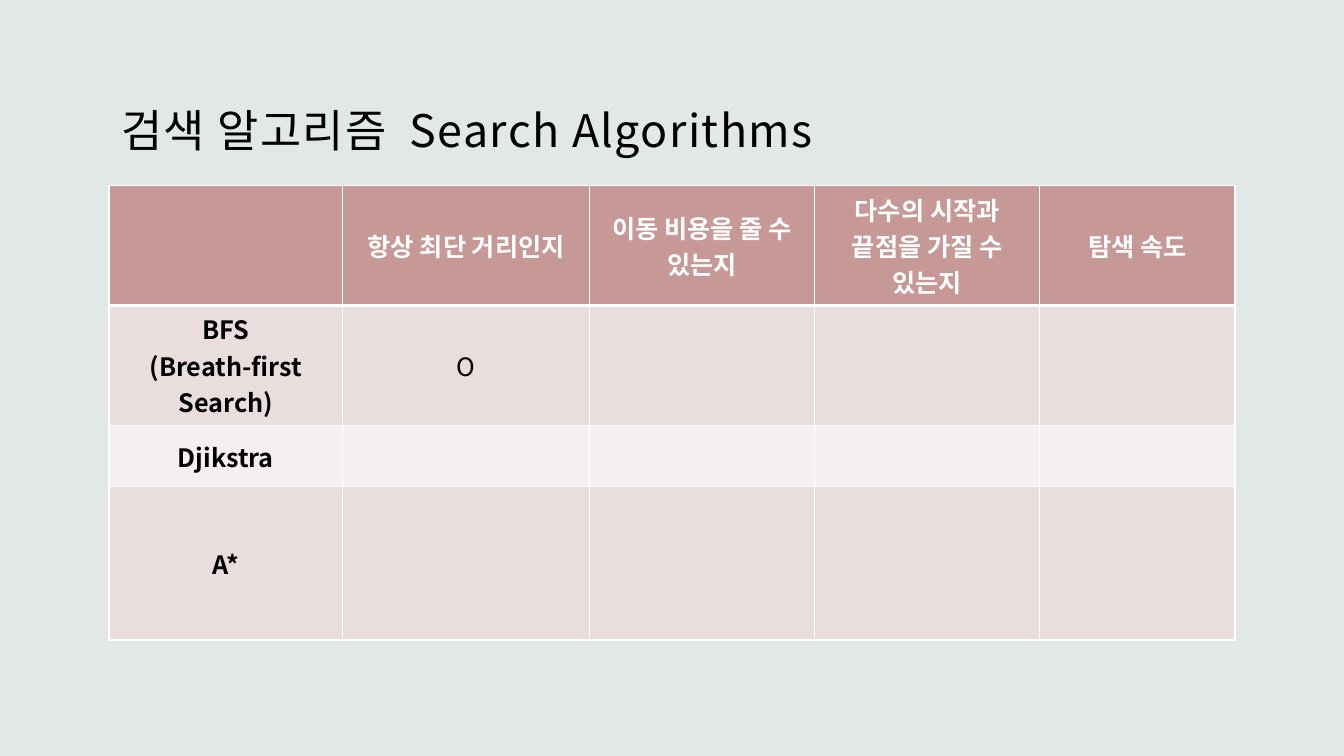
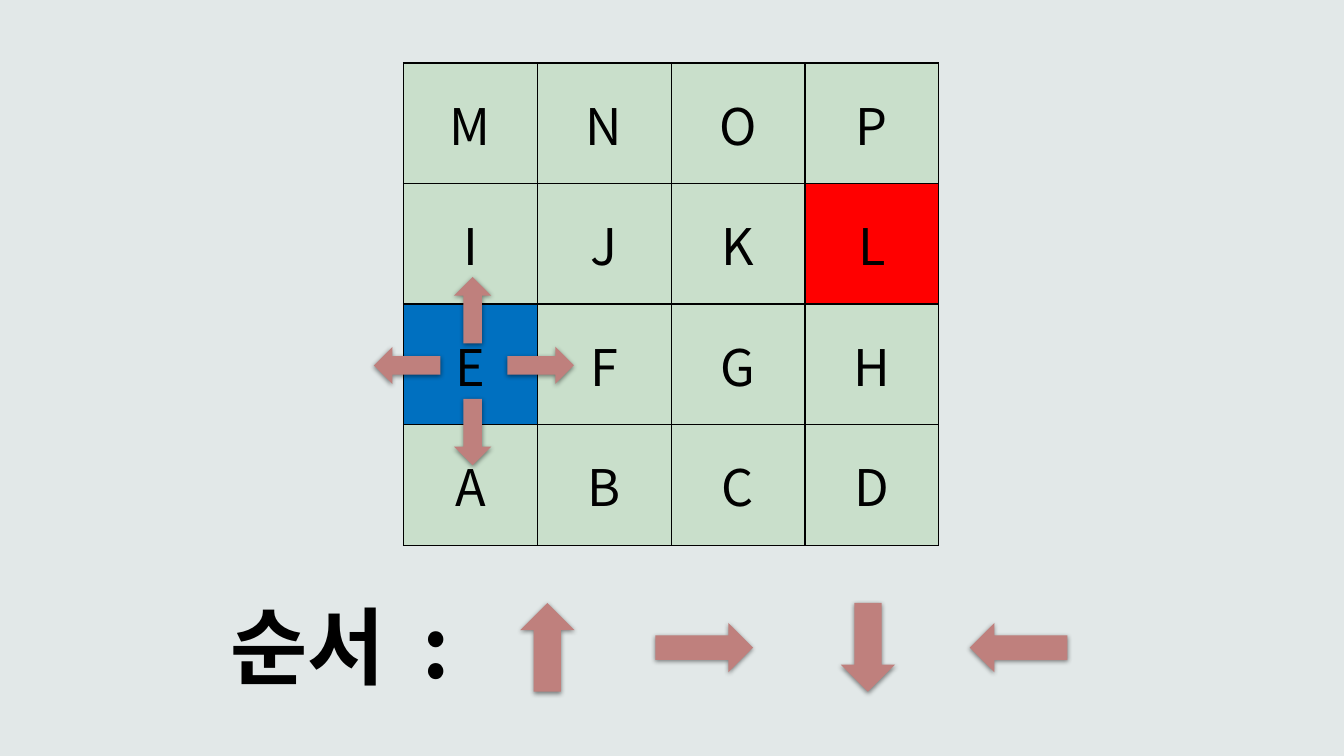
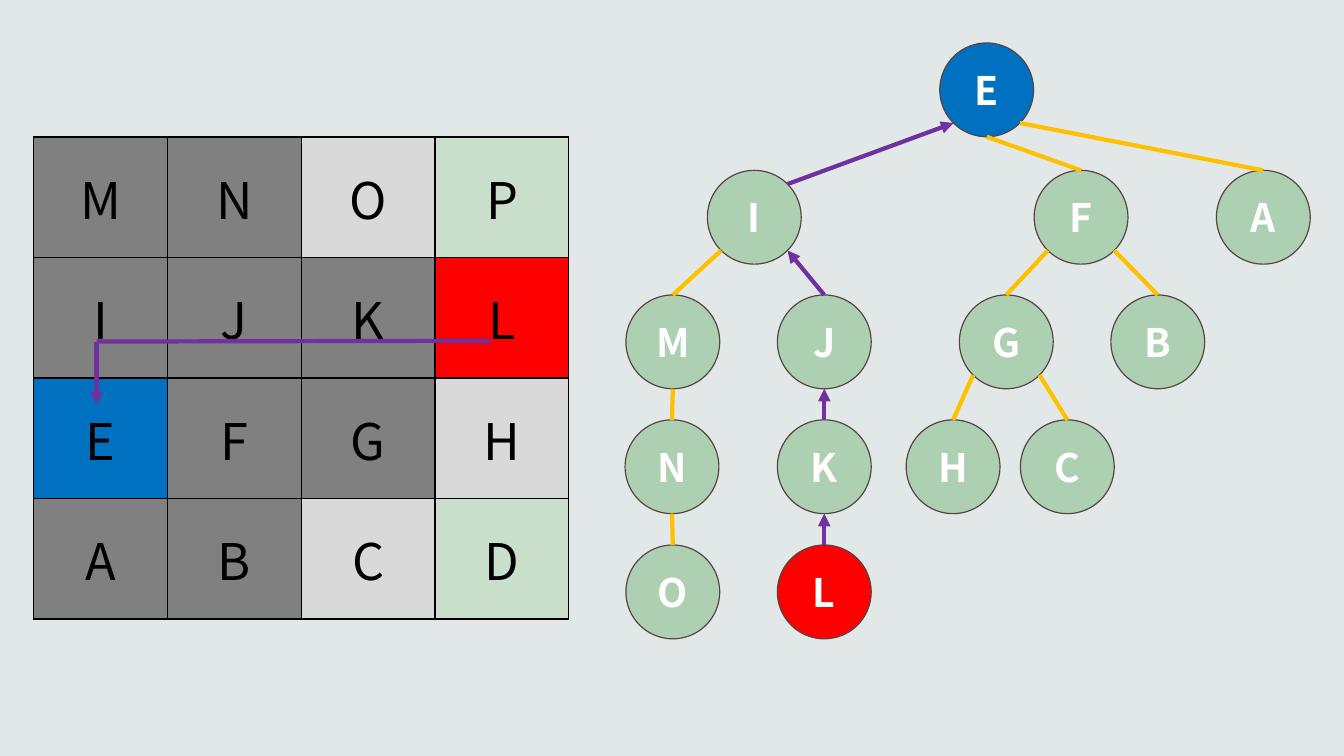
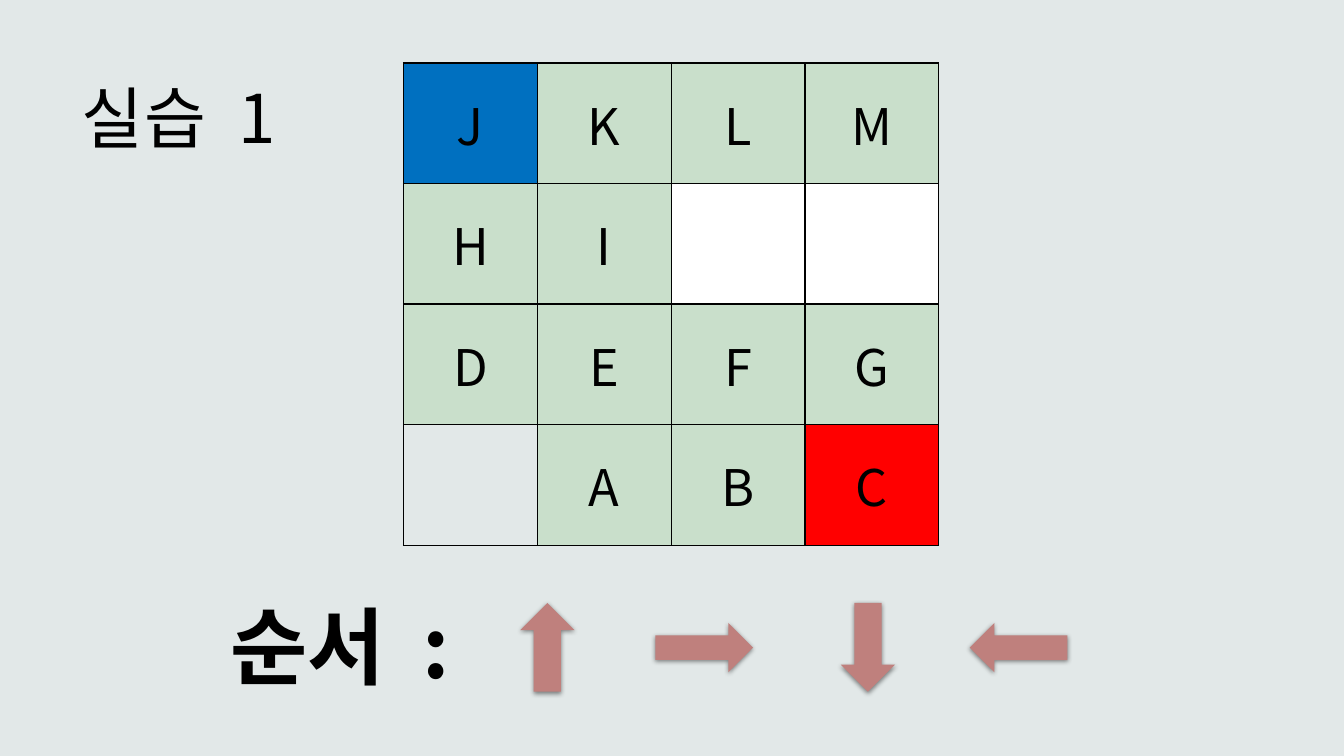
import math

import pptx
import pptx.chart.data
import pptx.dml.color
import pptx.enum.shapes
import pptx.enum.text
import pptx.oxml
import pptx.oxml.ns
import pptx.util

Pt = pptx.util.Pt
ALIGN = pptx.enum.text.PP_ALIGN
ANCHOR = pptx.enum.text.MSO_ANCHOR
SHAPE = pptx.enum.shapes.MSO_SHAPE

FONT = "Noto Sans CJK KR"
BACKGROUND, BLACK, WHITE = "E2E8E8", "000000", "FFFFFF"
BLUE, RED, GREEN = "0070C0", "FF0000", "C9DFCB"
VISITED, QUEUED = "808080", "D9D9D9"
NODE_GREEN, NODE_LINE = "AED0B2", "574342"
ARROW, PURPLE, YELLOW = "BF807D", "7030A0", "FFC000"
HEADER, BAND_DARK, BAND_LIGHT = "C69896", "EADDDD", "F5EFEF"

ROTATION = {"right": 0, "down": 90, "left": 180, "up": 270}
SITE_ANGLE = {"top": -90, "top right": -45, "bottom right": 45, "bottom": 90, "bottom left": 135}
NODE_SIZE = 67
CELL_WIDTH, CELL_HEIGHT = 95.6, 86.1


def color(hex_text):
    return pptx.dml.color.RGBColor.from_string(hex_text)


def add_element(parent, xml):
    """Append an XML element written with the a: prefix."""
    tag, rest = xml.split(" ", 1)
    declared = f"{tag} {pptx.oxml.ns.nsdecls('a')} {rest}"
    parent.append(pptx.oxml.parse_xml(declared))


def site(center, name):
    """Return the point of a tree node's outline that has the given name."""
    angle = math.radians(SITE_ANGLE[name])
    radius = NODE_SIZE / 2
    return center[0] + radius * math.cos(angle), center[1] + radius * math.sin(angle)


class Deck:
    def __init__(self):
        self.presentation = pptx.Presentation()
        self.presentation.slide_width = Pt(960)
        self.presentation.slide_height = Pt(540)
        fill = self.presentation.slide_master.background.fill
        fill.solid()
        fill.fore_color.rgb = color(BACKGROUND)
        self.slide = None

    def new_slide(self, has_title=False):
        layout = self.presentation.slide_layouts[5 if has_title else 6]
        self.slide = self.presentation.slides.add_slide(layout)

    def format_run(self, run, size, hex_text=BLACK, bold=False, spacing=0):
        run.font.size = Pt(size)
        run.font.bold = bold
        run.font.name = FONT
        run.font.color.rgb = color(hex_text)
        properties = run.font._element
        add_element(properties, f'<a:ea typeface="{FONT}"/>')
        if spacing:
            properties.set("spc", str(round(spacing * 100)))

    def write_wide_gap(self, paragraph, words, size, bold=False, spacing=0):
        """Write two pieces of text with a space of double width between them."""
        gap = spacing + 0.22 * size
        for text, run_spacing in ((words[0], spacing), (" ", gap), (words[1], spacing)):
            run = paragraph.add_run()
            run.text = text
            self.format_run(run, size, bold=bold, spacing=run_spacing)

    def title(self, words, left, top, width, height, size, alignment, anchor):
        shape = self.slide.shapes.title
        shape.left, shape.top, shape.width, shape.height = map(Pt, (left, top, width, height))
        frame = shape.text_frame
        frame.auto_size = pptx.enum.text.MSO_AUTO_SIZE.NONE
        frame.vertical_anchor = anchor
        frame.margin_left = frame.margin_right = frame.margin_top = Pt(8.64)
        frame.margin_bottom = Pt(7.2)
        paragraph = frame.paragraphs[0]
        paragraph.alignment = alignment
        self.write_wide_gap(paragraph, words, size, spacing=1)

    def table(self, left, top, widths, heights):
        frame = self.slide.shapes.add_table(
            len(heights), len(widths), Pt(left), Pt(top), Pt(sum(widths)), Pt(sum(heights)))
        table = frame.table
        table.first_row = table.horz_banding = False
        for column, width in zip(table.columns, widths):
            column.width = Pt(width)
        for row, height in zip(table.rows, heights):
            row.height = Pt(height)
        return table

    def cell(self, cell, text, size, fill, border, hex_text=BLACK, bold=False, edges=None):
        """Fill in one cell; edges gives line widths other than 1 by side letter."""
        for side in "LRTB":
            width = Pt((edges or {}).get(side, 1))
            add_element(
                cell._tc.get_or_add_tcPr(),
                f'<a:ln{side} w="{width}"><a:solidFill><a:srgbClr val="{border}"/>'
                f"</a:solidFill></a:ln{side}>")
        if fill:
            cell.fill.solid()
            cell.fill.fore_color.rgb = color(fill)
        else:
            cell.fill.background()
        cell.vertical_anchor = ANCHOR.MIDDLE
        cell.text_frame.text = text
        for paragraph in cell.text_frame.paragraphs:
            paragraph.alignment = ALIGN.CENTER
            for run in paragraph.runs:
                self.format_run(run, size, hex_text, bold)

    def letter_grid(self, left, top, rows, fills):
        """Draw a 4 by 4 map; fills maps a colour to the letters that have it."""
        table = self.table(left, top, [CELL_WIDTH] * 4, [CELL_HEIGHT] * 4)
        fill_of = {letter: fill for fill, letters in fills.items() for letter in letters}
        for row_index, row in enumerate(rows):
            for column_index, letter in enumerate(row):
                text = letter if letter.isalpha() else ""
                self.cell(table.cell(row_index, column_index), text, 36,
                          fill_of.get(letter, GREEN), BLACK)

    def arrow(self, direction, center_x, center_y, length, thickness):
        shape = self.slide.shapes.add_shape(
            SHAPE.RIGHT_ARROW, Pt(center_x - length / 2), Pt(center_y - thickness / 2),
            Pt(length), Pt(thickness))
        shape.rotation = ROTATION[direction]
        shape.fill.solid()
        shape.fill.fore_color.rgb = color(ARROW)
        shape.line.fill.background()
        add_element(
            shape._element.spPr,
            f'<a:effectLst ><a:outerShdw blurRad="{Pt(3.5)}" dist="{Pt(1.1)}" dir="5400000" '
            'rotWithShape="0"><a:srgbClr val="000000"><a:alpha val="45000"/></a:srgbClr>'
            "</a:outerShdw></a:effectLst>")

    def order_legend(self):
        self.arrow("up", 391, 462.4, 63.4, 38.9)
        self.arrow("right", 503, 462.6, 69.8, 35.3)
        self.arrow("down", 620, 462.4, 63.4, 38.9)
        self.arrow("left", 727.6, 462.6, 69.8, 35.3)
        box = self.slide.shapes.add_textbox(Pt(157.7), Pt(421.2), Pt(182), Pt(80))
        box.text_frame.word_wrap = False
        self.write_wide_gap(box.text_frame.paragraphs[0], ("순서", ":"), 60, bold=True)

    def node(self, letter, center, fill):
        radius = NODE_SIZE / 2
        shape = self.slide.shapes.add_shape(
            SHAPE.OVAL, Pt(center[0] - radius), Pt(center[1] - radius),
            Pt(NODE_SIZE), Pt(NODE_SIZE))
        shape.shadow.inherit = False
        shape.fill.solid()
        shape.fill.fore_color.rgb = color(fill)
        shape.line.color.rgb = color(NODE_LINE)
        shape.line.width = Pt(0.85)
        frame = shape.text_frame
        frame.text = letter
        frame.vertical_anchor = ANCHOR.MIDDLE
        frame.paragraphs[0].alignment = ALIGN.CENTER
        self.format_run(frame.paragraphs[0].runs[0], 28, WHITE, bold=True)

    def line(self, start, end, hex_text, has_arrowhead=False):
        connector = self.slide.shapes.add_connector(
            pptx.enum.shapes.MSO_CONNECTOR.STRAIGHT, *map(Pt, (*start, *end)))
        connector.line.color.rgb = color(hex_text)
        connector.line.width = Pt(3)
        if has_arrowhead:
            add_element(connector.line._get_or_add_ln(), '<a:tailEnd type="triangle"/>')
        add_element(connector._element.spPr, "<a:effectLst />")


def build_comparison(deck):
    deck.new_slide(has_title=True)
    deck.title(("검색 알고리즘", "Search Algorithms"), 77.8, 31, 804.2, 87.8, 32,
               ALIGN.LEFT, ANCHOR.BOTTOM)
    rows = [
        ["", "항상 최단 거리인지", "이동 비용을 줄 수 있는지",
         "다수의 시작과 끝점을 가질 수 있는지", "탐색 속도"],
        ["BFS\n(Breath-first Search)", "O", "", "", ""],
        ["Djikstra", "", "", "", ""],
        ["A*", "", "", "", ""],
    ]
    table = deck.table(77.8, 132.5, [167, 176.4, 160.6, 161, 139.4], [85.7, 85.7, 43.7, 109.6])
    for row_index, row in enumerate(rows):
        is_header = row_index == 0
        fill = HEADER if is_header else (BAND_LIGHT, BAND_DARK)[row_index % 2]
        edges = {"B": 3} if is_header else {"T": 3} if row_index == 1 else None
        for column_index, text in enumerate(row):
            deck.cell(table.cell(row_index, column_index), text, 18, fill, WHITE,
                      WHITE if is_header else BLACK, is_header or column_index == 0, edges)


def build_search_order(deck):
    deck.new_slide()
    deck.letter_grid(288.2, 45, ["MNOP", "IJKL", "EFGH", "ABCD"], {BLUE: "E", RED: "L"})
    for direction, center_x, center_y in (
            ("up", 337.6, 221.6), ("right", 386.2, 261), ("down", 337.6, 308.6),
            ("left", 290.8, 261)):
        deck.arrow(direction, center_x, center_y, 47.5, 26.6)
    deck.order_legend()


def build_search_tree(deck):
    deck.new_slide()
    deck.letter_grid(24, 97.8, ["MNOP", "IJKL", "EFGH", "ABCD"],
                     {BLUE: "E", RED: "L", VISITED: "MNIJKFGAB", QUEUED: "OHC"})
    levels = {
        64.2: {"E": 704.8},
        155.2: {"I": 538.8, "F": 772.2, "A": 902.4},
        244.2: {"M": 480.6, "J": 588.8, "G": 718.8, "B": 827},
        333.4: {"N": 480, "K": 588.8, "H": 680.8, "C": 762.4},
        422.8: {"O": 480.6, "L": 588.8},
    }
    centers = {letter: (x, y) for y, level in levels.items() for letter, x in level.items()}
    for letter, center in centers.items():
        deck.node(letter, center, {"E": BLUE, "L": RED}.get(letter, NODE_GREEN))
    children = {
        "bottom left": ["EI", "IM", "FG", "GH"],
        "bottom": ["EF", "MN", "NO", "JK", "KL"],
        "bottom right": ["EA", "IJ", "FB", "GC"],
    }
    shortest_route = {"EI", "IJ", "JK", "KL"}
    for parent_site, edges in children.items():
        for edge in edges:
            parent, child = edge
            on_route = edge in shortest_route
            start = site(centers[child], "top right" if child == "I" else "top")
            deck.line(start, site(centers[parent], parent_site),
                      PURPLE if on_route else YELLOW, on_route)
    corner = (69, 244)
    deck.line((350.6, 243.4), corner, PURPLE)
    deck.line(corner, (69, 289), PURPLE, has_arrowhead=True)


def build_exercise(deck):
    deck.new_slide(has_title=True)
    deck.letter_grid(288.2, 45, ["JKLM", "HI##", "DEFG", " ABC"],
                     {BLUE: "J", RED: "C", WHITE: "#", None: " "})
    deck.order_legend()
    deck.title(("실습", "1"), 16.6, 16.6, 221.8, 132.5, 48, ALIGN.CENTER, ANCHOR.MIDDLE)


def main():
    deck = Deck()
    build_comparison(deck)
    build_search_order(deck)
    build_search_tree(deck)
    build_exercise(deck)
    deck.presentation.save("out.pptx")


if __name__ == "__main__":
    main()
